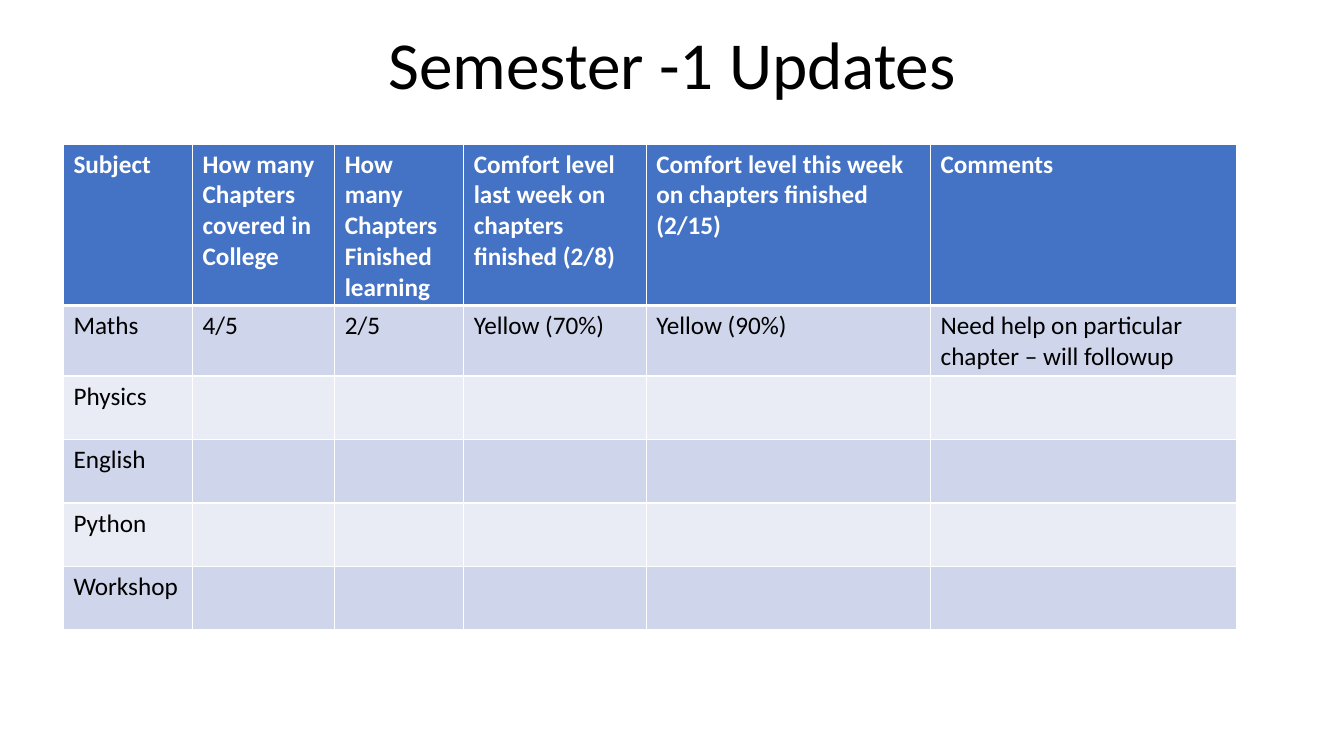
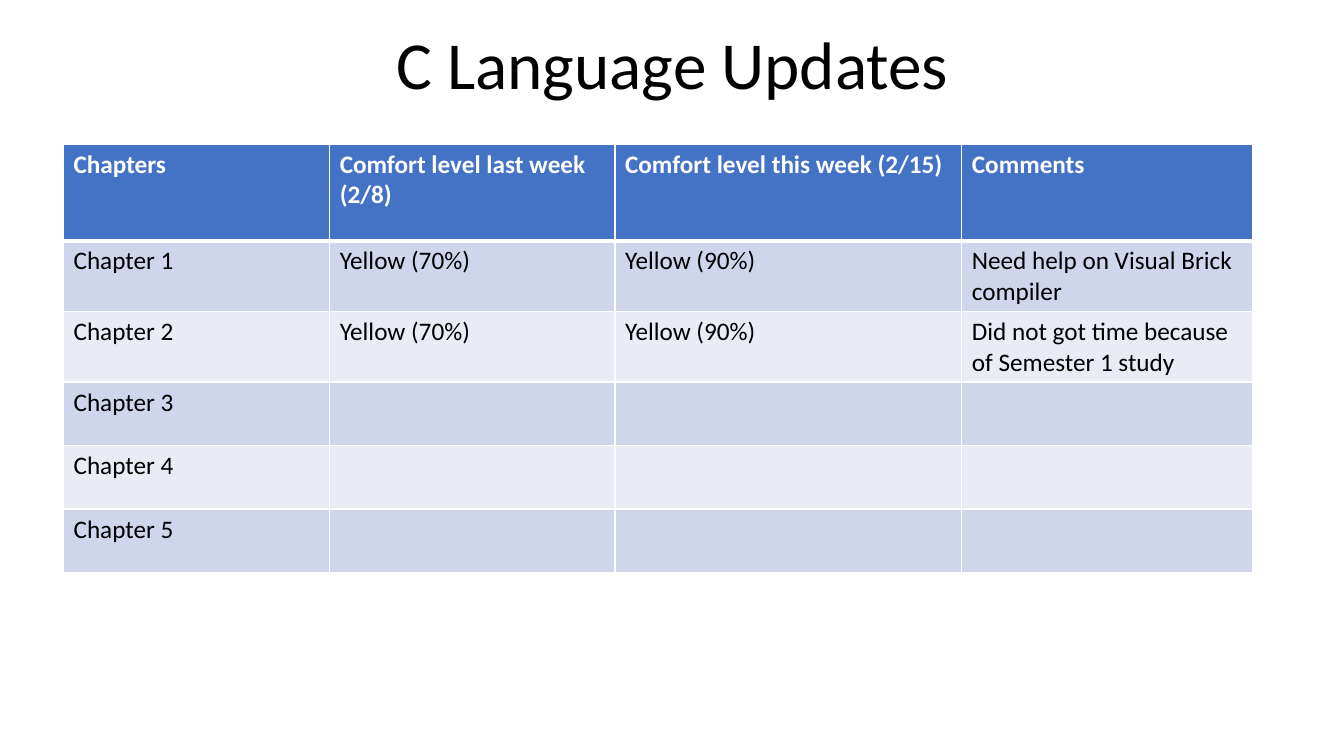
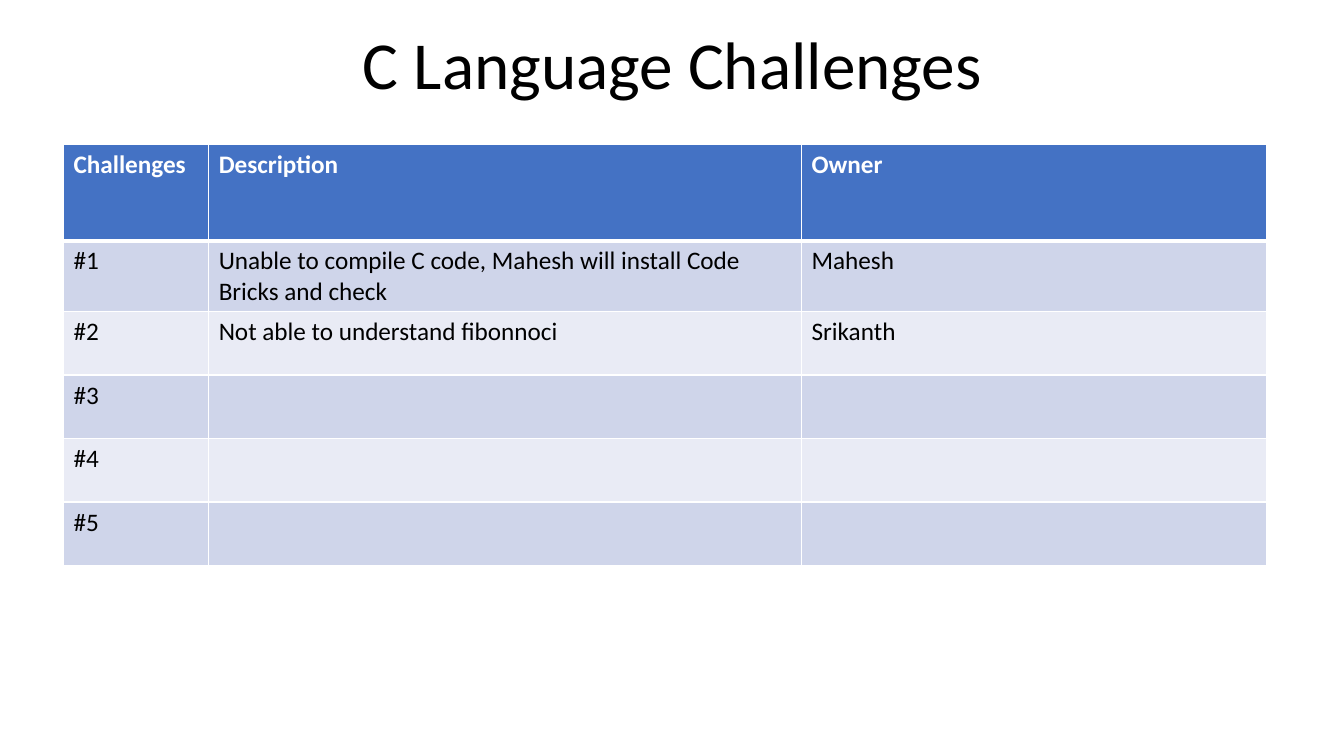
from pptx import Presentation
from pptx.dml.color import RGBColor as RGB
from pptx.enum.text import MSO_ANCHOR as ANCHOR, PP_ALIGN as ALIGN
from pptx.oxml import parse_xml
from pptx.oxml.ns import nsdecls
from pptx.util import Inches, Pt

WHITE = RGB(0xFF, 0xFF, 0xFF)
BLACK = RGB(0x00, 0x00, 0x00)
HEADER = RGB(0x44, 0x72, 0xC4)
BANDS = [RGB(0xCF, 0xD5, 0xEA), RGB(0xE9, 0xEB, 0xF5)]

TITLE_BOX = (1.67, 0.15, 10, 0.93)
TABLE_CORNER = (0.63, 1.43)
ROW_HEIGHT = 0.63
TITLE_FONT = {"name": "Calibri", "size": Pt(48)}
HEADER_FONT = {"name": "Calibri", "size": Pt(18), "bold": True}
BODY_FONT = {"name": "Calibri", "size": Pt(18), "bold": False}

SLIDES = [
    {
        "title": "Semester -1 Updates",
        "widths": [1.28, 1.41, 1.28, 1.81, 2.82, 3.04],
        "header_height": 1.56,
        "rows": [
            ["Subject", "How many Chapters covered in College",
             "How many Chapters Finished learning",
             "Comfort level last week on chapters finished (2/8)",
             "Comfort level this week on chapters finished (2/15)", "Comments"],
            ["Maths", "4/5", "2/5", "Yellow (70%)", "Yellow (90%)",
             "Need help on particular chapter – will followup"],
            ["Physics"], ["English"], ["Python"], ["Workshop"],
        ],
    },
    {
        "title": "C Language Updates",
        "widths": [2.64, 2.83, 3.44, 2.88],
        "header_height": 0.96,
        "rows": [
            ["Chapters", "Comfort level last week (2/8)",
             "Comfort level this week (2/15)", "Comments"],
            ["Chapter 1", "Yellow (70%)", "Yellow (90%)",
             "Need help on Visual Brick compiler"],
            ["Chapter 2", "Yellow (70%)", "Yellow (90%)",
             "Did not got time because of Semester 1 study"],
            ["Chapter 3"], ["Chapter 4"], ["Chapter 5"],
        ],
    },
    {
        "title": "C Language Challenges",
        "widths": [1.44, 5.88, 4.61],
        "header_height": 0.96,
        "rows": [
            ["Challenges", "Description", "Owner"],
            ["#1", "Unable to compile C code, Mahesh will install Code Bricks and check",
             "Mahesh"],
            ["#2", "Not able to understand fibonnoci ", "Srikanth"],
            ["#3"], ["#4"], ["#5"],
        ],
    },
]


def write(p, text, font, color):
    """Add a formatted run to a paragraph."""
    r = p.add_run()
    r.text = text
    for name, value in font.items():
        setattr(r.font, name, value)
    r.font.color.rgb = color


def add_title(slide, box, text):
    """Place a centred, bottom-anchored title in the box."""
    tf = slide.shapes.add_textbox(*map(Inches, box)).text_frame
    for name, value in {"word_wrap": True, "vertical_anchor": ANCHOR.BOTTOM}.items():
        setattr(tf, name, value)
    p = tf.paragraphs[0]
    for name, value in {"alignment": ALIGN.CENTER, "line_spacing": 0.9}.items():
        setattr(p, name, value)
    write(p, text, TITLE_FONT, BLACK)


def set_borders(cell, top, bottom):
    """Draw white cell borders, with top and bottom widths in points."""
    tcPr = cell._tc.get_or_add_tcPr()
    for i, (side, width) in enumerate(zip("LRTB", (1, 1, top, bottom))):
        tcPr.insert(i, parse_xml(
            f'<a:ln{side} {nsdecls("a")} w="{Pt(width)}"><a:solidFill>'
            f'<a:srgbClr val="{WHITE}"/></a:solidFill></a:ln{side}>'))


def add_status_table(slide, corner, widths, header_height, rows):
    """Place a banded table with a header row at the corner."""
    heights = [header_height] + [ROW_HEIGHT] * (len(rows) - 1)
    box = (*corner, sum(widths), sum(heights))
    table = slide.shapes.add_table(len(rows), len(widths), *map(Inches, box)).table
    for column, width in zip(table.columns, widths):
        column.width = Inches(width)
    for i, (row, height, texts) in enumerate(zip(table.rows, heights, rows)):
        row.height = Inches(height)
        fill, font, color = ((BANDS[(i - 1) % 2], BODY_FONT, BLACK) if i
                             else (HEADER, HEADER_FONT, WHITE))
        for cell in row.cells:
            cell.fill.solid()
            cell.fill.fore_color.rgb = fill
            set_borders(cell, 3 if i == 1 else 1, 3 if i == 0 else 1)
        for cell, text in zip(row.cells, texts):
            write(cell.text_frame.paragraphs[0], text, font, color)


def add_update_slide(prs, title, **table):
    """Add a slide with a title above a status table."""
    slide = prs.slides.add_slide(prs.slide_layouts[6])
    add_title(slide, TITLE_BOX, title)
    add_status_table(slide, TABLE_CORNER, **table)


def main():
    """Build and save the presentation."""
    prs = Presentation()
    prs.slide_width, prs.slide_height = Inches(13.33), Inches(7.5)
    for content in SLIDES:
        add_update_slide(prs, **content)
    prs.save("out.pptx")


main()
